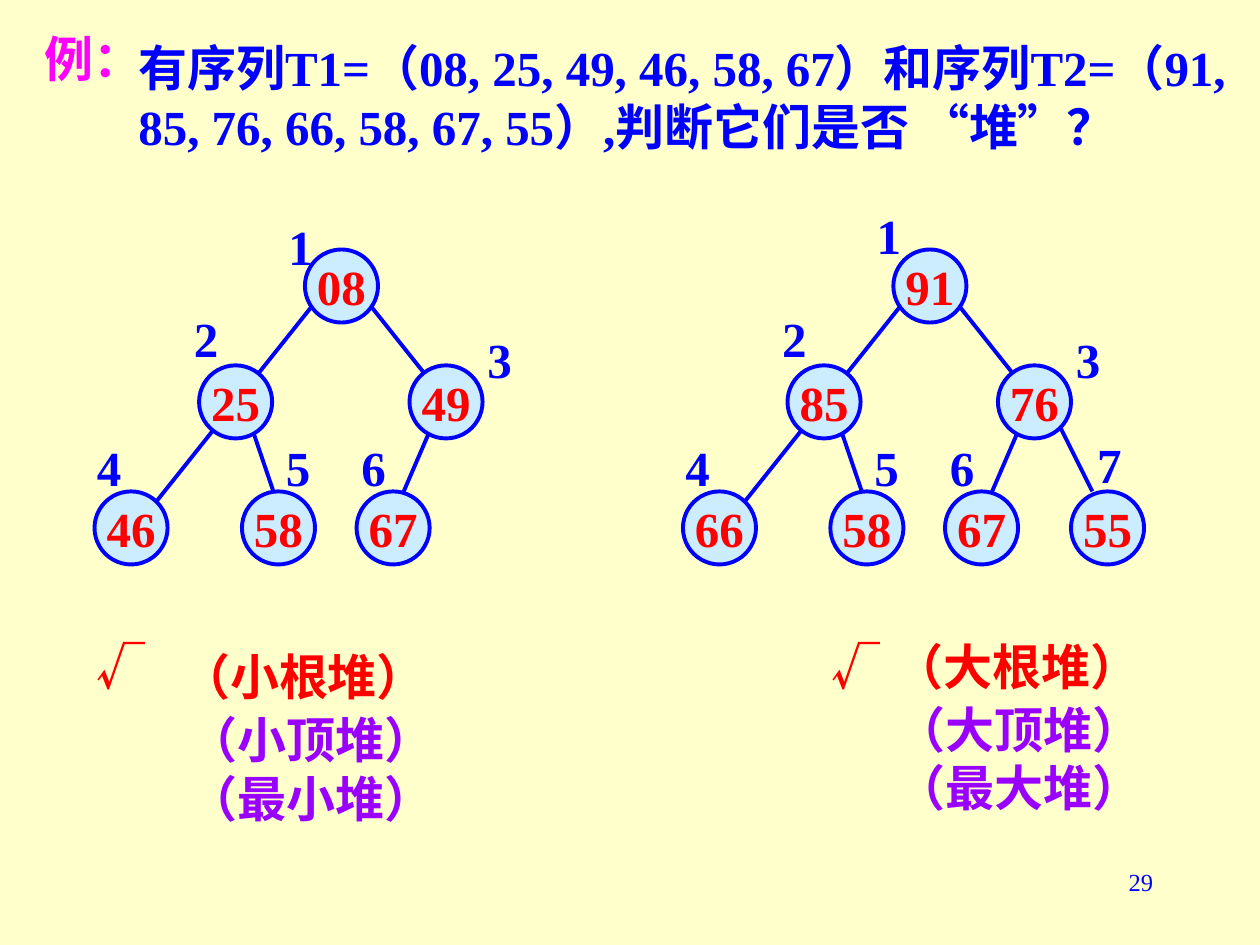
from pptx import Presentation
from pptx.dml.color import RGBColor
from pptx.enum.shapes import MSO_CONNECTOR, MSO_SHAPE
from pptx.enum.text import MSO_ANCHOR, MSO_AUTO_SIZE, PP_ALIGN
from pptx.oxml.ns import qn
from pptx.util import Inches, Pt

LEFT, CENTER, RIGHT = PP_ALIGN.LEFT, PP_ALIGN.CENTER, PP_ALIGN.RIGHT
TOP, MIDDLE = MSO_ANCHOR.TOP, MSO_ANCHOR.MIDDLE
NO_FIT = MSO_AUTO_SIZE.NONE
OVAL, STRAIGHT = MSO_SHAPE.OVAL, MSO_CONNECTOR.STRAIGHT

COLORS = {
    "background": "FFFFCC",
    "blue": "0000FF",
    "red": "FF0000",
    "violet": "9900FF",
    "magenta": "FF00FF",
    "node": "CCECFF",
}
SERIF, HAN = "Times New Roman", "Noto Sans CJK SC"

TITLE = "例："
QUESTION = (
    "有序列T1=（08, 25, 49, 46, 58, 67）和序列T2="
    "（91, 85, 76, 66, 58, 67, 55）,判断它们是否 “堆”？"
)
PAGE = "29"

TREES = [
    {"left": 0.75, "root_label_top": 1.67, "keys": ["08", "25", "49", "46", "58", "67"]},
    {"left": 5.42, "root_label_top": 1.58, "keys": ["91", "85", "76", "66", "58", "67", "55"]},
]
NODE_SIZE = 0.58
LEVEL_TOPS = [1.98, 2.9, 3.9]
NODE_LEFTS = [1.67, 0.83, 2.5, 0, 1.17, 2.08, 3.08]
LABELS = [(1.44, 1.67), (0.69, 2.4), (3.02, 2.57), (-0.08, 3.42),
          (1.42, 3.42), (2.02, 3.42), (3.19, 3.4)]
EDGES = [
    (4, (1.75, 2.4), (0.42, 4.07)),
    (3, (2.17, 2.4), (2.83, 3.23)),
    (5, (1.25, 3.4), (1.42, 3.9)),
    (6, (2.67, 3.4), (2.42, 3.98)),
    (7, (3.0, 3.4), (3.25, 3.9)),
]

VERDICTS = [
    (["√"], (0.67, 5, 0.59, 0.57), "red", False),
    (["（小根堆）"], (1.34, 5.08, 2.14, 0.57), "red", False),
    (["（小顶堆）", "（最小堆）"], (1.4, 5.58, 2.23, 1.04), "violet", False),
    (["√"], (6.5, 5, 0.59, 0.57), "red", False),
    (["（大根堆）"], (7, 5, 2.33, 0.57), "red", True),
    (["（大顶堆）", "（最大堆）"], (7.02, 5.5, 2.14, 1.04), "violet", False),
]


def rgb(name):
    return RGBColor.from_string(COLORS[name])


def box(shapes, at):
    return shapes.add_textbox(*map(Inches, at))


def write(sp, lines, color="blue", font=SERIF, size=28, bold=True,
          align=LEFT, anchor=TOP, wrap=False):
    tf = sp.text_frame
    tf.auto_size = NO_FIT
    tf.word_wrap = wrap
    tf.vertical_anchor = anchor
    for i, line in enumerate(lines):
        p = tf.add_paragraph() if i else tf.paragraphs[0]
        p.alignment = align
        r = p.add_run()
        r.text = line
        r.font.name = font
        r.font.size = Pt(size)
        r.font.bold = bold
        r.font.color.rgb = rgb(color)
        ea = r.font._element.makeelement(qn("a:ea"), {"typeface": HAN})
        r.font._element.find(qn("a:latin")).addnext(ea)


def outline(sp):
    sp.line.color.rgb = rgb("blue")
    sp.line.width = Pt(2.25)


def draw_tree(s, left, root_label_top, keys):
    shapes = s.shapes.add_group_shape().shapes
    for child, (x1, y1), (x2, y2) in EDGES:
        if child <= len(keys):
            ends = (left + x1, y1, left + x2, y2)
            edge = shapes.add_connector(STRAIGHT, *map(Inches, ends))
            outline(edge)
            sp_pr = edge._element.spPr
            sp_pr.append(sp_pr.makeelement(qn("a:effectLst"), {}))
    for number, key in enumerate(keys, 1):
        top = LEVEL_TOPS[number.bit_length() - 1]
        at = (left + NODE_LEFTS[number - 1], top, NODE_SIZE, NODE_SIZE)
        node = shapes.add_shape(OVAL, *map(Inches, at))
        node.shadow.inherit = False
        node.fill.solid()
        node.fill.fore_color.rgb = rgb("node")
        outline(node)
        write(node, [key], color="red", align=CENTER, anchor=MIDDLE)
    for number, (x, y) in enumerate(LABELS[:len(keys)], 1):
        y = root_label_top if number == 1 else y
        write(box(shapes, (left + x, y, 0.39, 0.57)), [str(number)])


def main():
    prs = Presentation()
    prs.slide_width, prs.slide_height = Inches(10), Inches(7.5)
    s = prs.slides.add_slide(prs.slide_layouts[5])
    s.background.fill.solid()
    s.background.fill.fore_color.rgb = rgb("background")

    title = s.shapes.title
    title.left, title.top, title.width, title.height = map(Inches, (0.25, 0.25, 1.17, 0.42))
    write(title, [TITLE], color="magenta", anchor=MIDDLE, wrap=True)
    write(box(s.shapes, (1, 0.25, 8.83, 1.5)), [QUESTION], wrap=True)

    for tree in TREES:
        draw_tree(s, **tree)
    for lines, at, color, wrap in VERDICTS:
        write(box(s.shapes, at), lines, color=color, font=HAN, wrap=wrap)
    write(box(s.shapes, (7.17, 6.83, 2.08, 0.5)), [PAGE], size=14, bold=False,
          align=RIGHT, wrap=True)

    prs.save("out.pptx")


if __name__ == "__main__":
    main()
